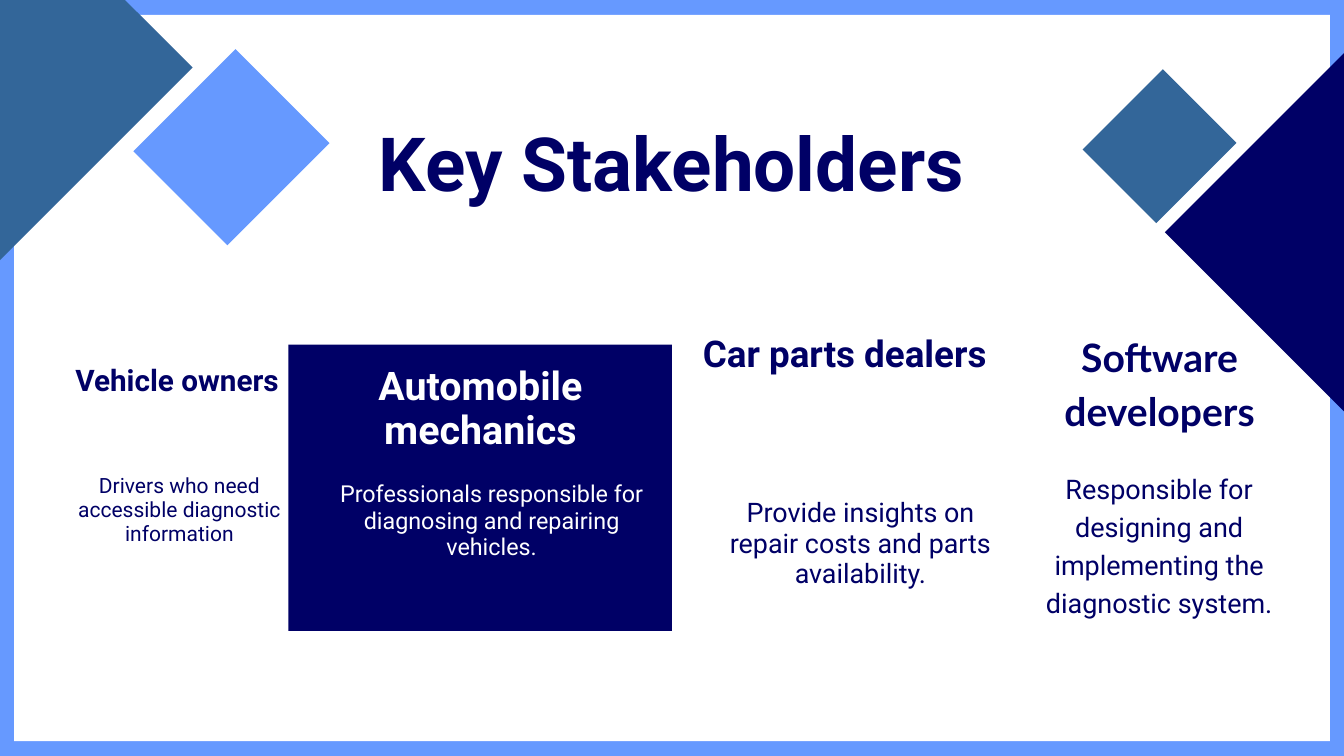
from pptx import Presentation
from pptx.dml.color import RGBColor
from pptx.enum.shapes import MSO_SHAPE
from pptx.enum.text import MSO_ANCHOR, MSO_AUTO_SIZE, PP_ALIGN
from pptx.util import Inches, Pt

NAVY = RGBColor(0x00, 0x00, 0x66)
STEEL = RGBColor(0x33, 0x66, 0x99)
SKY = RGBColor(0x66, 0x99, 0xFF)
WHITE = RGBColor(0xFF, 0xFF, 0xFF)

deck = Presentation()
deck.slide_width, deck.slide_height = Inches(20), Inches(11.25)
COLUMN = deck.slide_width / 20
ROW = deck.slide_height / 11.25

page = deck.slides.add_slide(deck.slide_layouts[5])
page.background.fill.solid()
page.background.fill.fore_color.rgb = SKY


def grid_area(left, top, width, height):
    """Turn columns and rows into slide lengths."""
    return (round(left * COLUMN), round(top * ROW),
            round(width * COLUMN), round(height * ROW))


def write_centred(box, text, size, line_height, color, bold=False, font="Roboto"):
    frame = box.text_frame
    frame.word_wrap = True
    frame.auto_size = MSO_AUTO_SIZE.NONE
    frame.vertical_anchor = MSO_ANCHOR.TOP
    frame.margin_left = frame.margin_right = 0
    frame.margin_top = frame.margin_bottom = 0
    para = frame.paragraphs[0]
    para.alignment = PP_ALIGN.CENTER
    para.line_spacing = Pt(line_height)
    span = para.add_run()
    span.text = text
    span.font.name = font
    span.font.size = Pt(size)
    span.font.bold = bold
    span.font.color.rgb = color


# White sheet, highlighted panel, then the corner diamonds
blocks = [
    ((0.21, 0.22, 19.58, 10.81), WHITE, 0),
    ((4.29, 5.13, 5.71, 4.26), NAVY, 0),
    ((-2.12, -0.82, 4.23, 3.89), STEEL, 315),
    ((18.09, 1.39, 4.23, 3.89), NAVY, 315),
    ((16.41, 1.4, 1.69, 1.55), STEEL, 315),
    ((2.37, 1.2, 2.15, 1.98), SKY, 315),
]
for area, color, angle in blocks:
    block = page.shapes.add_shape(MSO_SHAPE.RECTANGLE, *grid_area(*area))
    block.shadow.inherit = False
    block.fill.solid()
    block.fill.fore_color.rgb = color
    block.line.fill.background()
    block.rotation = angle

# The title placeholder goes in front of the white sheet
title = page.shapes.title
title.left, title.top, title.width, title.height = grid_area(1.12, 2.02, 17.75, 1.11)
title.element.getparent().append(title.element)
write_centred(title, "Key Stakeholders", 80, 75.2, NAVY, bold=True)

# Per stakeholder: colour, heading font, then (area, text, size, line height) twice
stakeholders = [
    (NAVY, "Roboto",
     ((0.98, 5.41, 3.31, 0.98), "Vehicle owners", 31.8, 36),
     ((0.98, 7.06, 3.38, 1.39),
      "Drivers who need accessible diagnostic information", 22.5, 25.4)),
    (WHITE, "Roboto",
     ((5.02, 5.41, 4.26, 1.32), "Automobile mechanics", 42.2, 47.7),
     ((5.02, 7.16, 4.59, 1.17),
      "Professionals responsible for diagnosing and repairing vehicles.", 25, 28.2)),
    (NAVY, "Roboto",
     ((10.22, 4.96, 4.7, 1.24), "Car parts dealers", 39.4, 44.5),
     ((10.69, 7.41, 4.23, 1.36),
      "Provide insights on repair costs and parts availability.", 28.8, 32.6)),
    (NAVY, "Lato",
     ((14.95, 4.84, 4.61, 1.59), "Software developers", 41.9, 58.6),
     ((15.32, 6.96, 3.86, 2.2),
      "Responsible for designing and implementing the diagnostic system.", 28.9, 40.4)),
]
for color, heading_font, heading, description in stakeholders:
    for (area, text, size, line_height), bold, font in (
            (heading, True, heading_font), (description, False, "Roboto")):
        box = page.shapes.add_textbox(*grid_area(*area))
        write_centred(box, text, size, line_height, color, bold, font)

deck.save("out.pptx")
